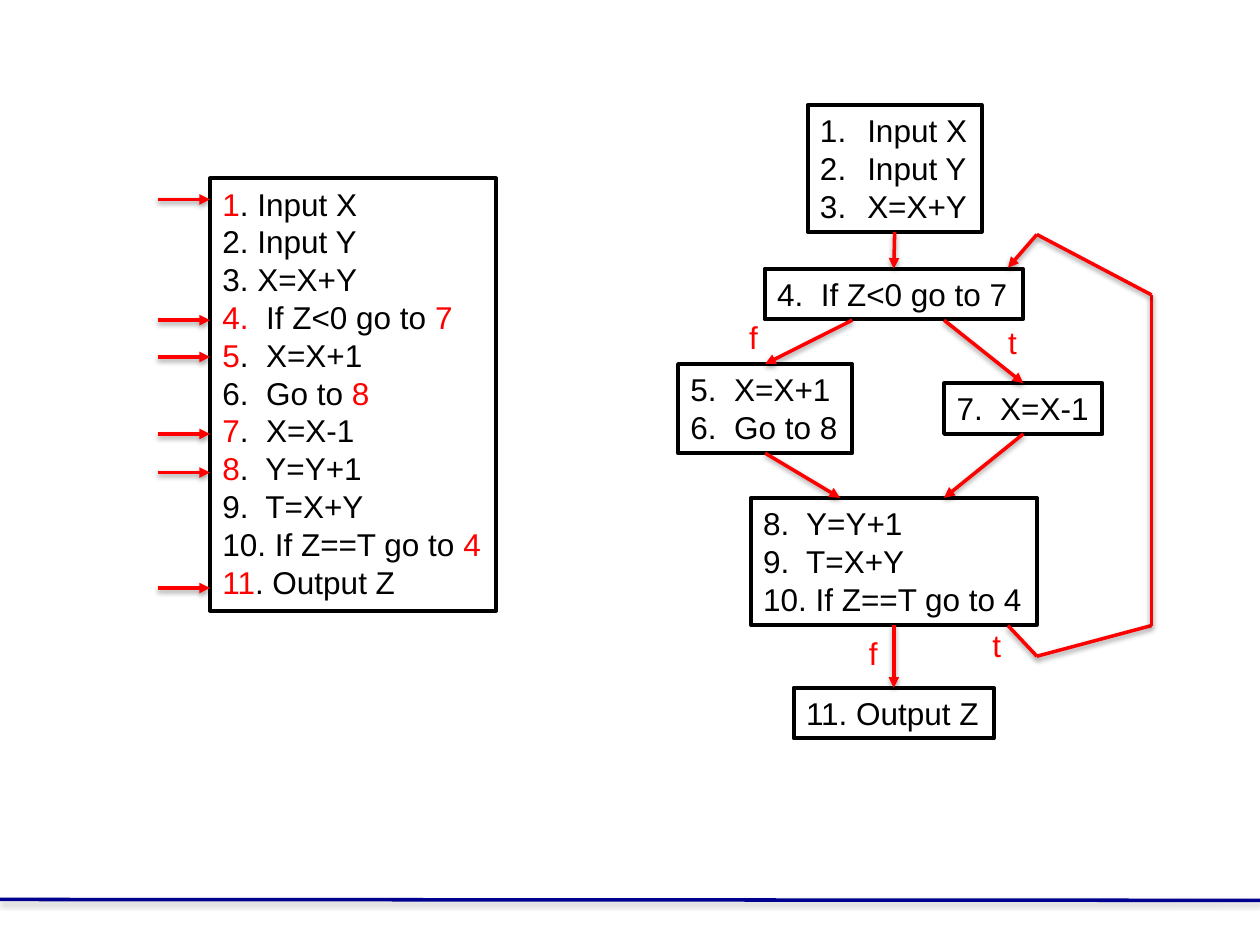
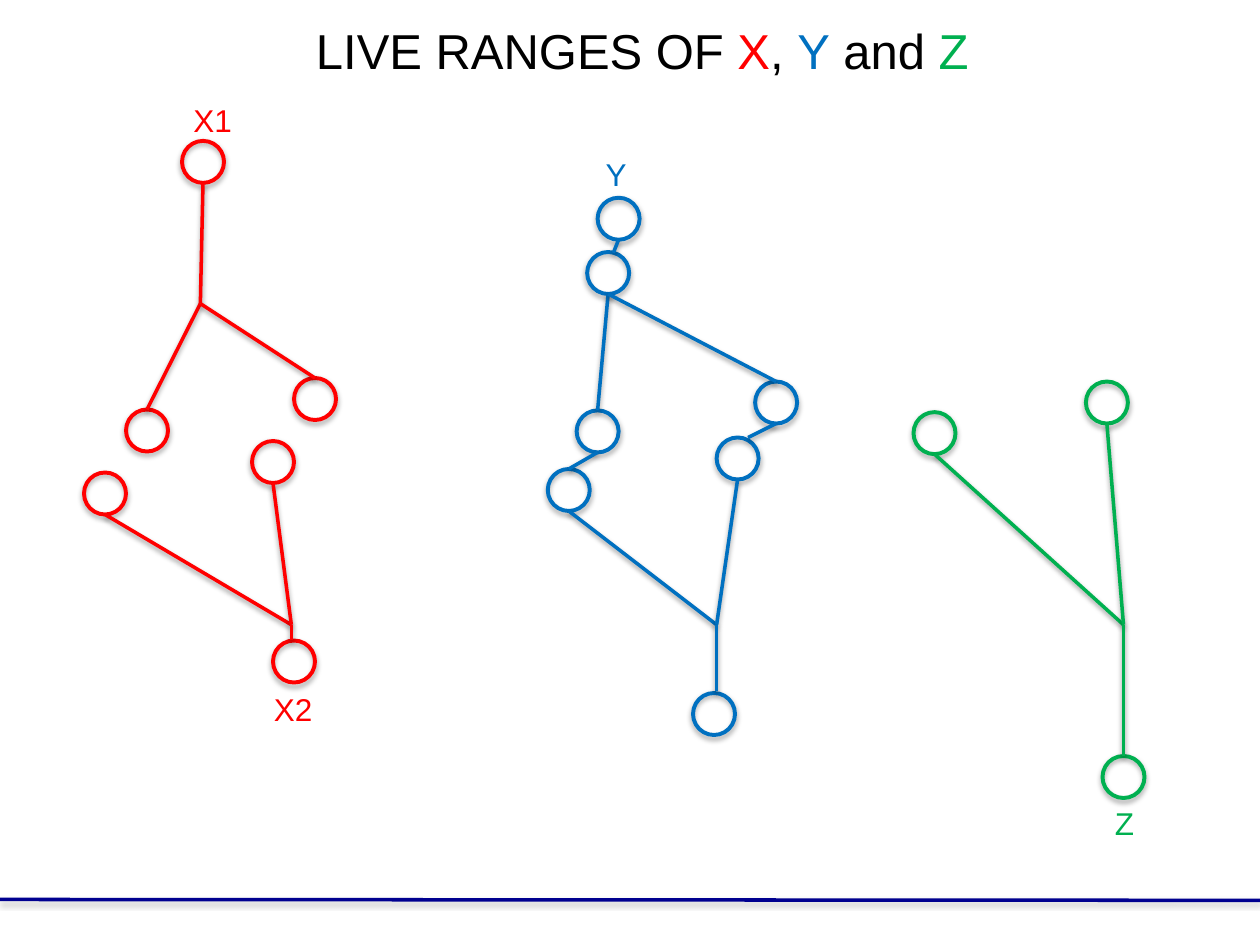
from dataclasses import dataclass

from lxml.etree import SubElement
from pptx import Presentation
from pptx.dml.color import RGBColor
from pptx.enum.shapes import MSO_CONNECTOR, MSO_SHAPE
from pptx.enum.text import MSO_ANCHOR, MSO_AUTO_SIZE, PP_ALIGN
from pptx.oxml.ns import qn
from pptx.util import Pt

TOP, BOTTOM = 0, 2


@dataclass(frozen=True)
class Theme:
    font: str = "Arial"
    black: str = "000000"
    red: str = "FF0000"
    blue: str = "0070C0"
    green: str = "00B050"
    navy: str = "000090"
    grey: str = "808080"
    title_size: int = 28
    body_size: int = 18
    line_width: float = 2
    outline_width: float = 2.25
    circle: int = 24


def write(frame, text, *, theme, size, color, accents=(), numbered=False):
    """Write lines of text; pieces between bars take the accents in turn, the last one repeating."""
    frame.word_wrap = False
    frame.auto_size = MSO_AUTO_SIZE.SHAPE_TO_FIT_TEXT
    frame.vertical_anchor = MSO_ANCHOR.TOP
    used = 0
    for row, line in enumerate(text.split("\n")):
        para = frame.add_paragraph() if row else frame.paragraphs[0]
        para.alignment = PP_ALIGN.LEFT
        if numbered:
            properties = para._p.get_or_add_pPr()
            properties.set("marL", str(Pt(27)))
            properties.set("indent", str(-Pt(27)))
            SubElement(properties, qn("a:buFont"), typeface=theme.font)
            SubElement(properties, qn("a:buAutoNum"), type="arabicPeriod")
        for position, piece in enumerate(line.split("|")):
            if not piece:
                continue
            span = para.add_run()
            span.text = piece
            span.font.name = theme.font
            span.font.size = Pt(size)
            span_color = color
            if position % 2:
                span_color = accents[min(used, len(accents) - 1)]
                used += 1
            span.font.color.rgb = RGBColor.from_string(span_color)


def drop_shadow(shape, color, opacity, distance):
    """Add a soft shadow below; call after the line is set, as the effects follow it."""
    properties = shape._element.spPr
    effects = properties.find(qn("a:effectLst"))
    if effects is None:
        effects = SubElement(properties, qn("a:effectLst"))
    shadow = SubElement(effects, qn("a:outerShdw"), blurRad=str(Pt(3.1)),
                        dist=str(Pt(distance)), dir="5400000", rotWithShape="0")
    tint = SubElement(shadow, qn("a:srgbClr"), val=color)
    SubElement(tint, qn("a:alpha"), val=str(opacity * 1000))


class Slides:
    def __init__(self, theme):
        self.theme = theme
        self.deck = Presentation()
        self.deck.slide_width, self.deck.slide_height = Pt(720), Pt(540)
        self.page = None

    def new_page(self):
        self.page = self.deck.slides.add_slide(self.deck.slide_layouts[6])
        self.line((0, 514), (720, 514.5), self.theme.navy, shadow=self.theme.grey)

    def line(self, start, end, color, arrow=False, shadow=None, source=None, target=None):
        """Draw a line; source and target are boxes to join at bottom and top."""
        connector = self.page.shapes.add_connector(
            MSO_CONNECTOR.STRAIGHT, *map(Pt, (*start, *end)))
        if source is not None:
            connector.begin_connect(source, BOTTOM)
        if target is not None:
            connector.end_connect(target, TOP)
        connector.line.color.rgb = RGBColor.from_string(color)
        connector.line.width = Pt(self.theme.line_width)
        if arrow:
            SubElement(connector.line._get_or_add_ln(), qn("a:tailEnd"), type="triangle")
        drop_shadow(connector, shadow or self.theme.black, 38, 1.6)

    def outline(self, kind, bounds, color):
        shape = self.page.shapes.add_shape(kind, *map(Pt, bounds))
        shape.shadow.inherit = False
        shape.fill.background()
        shape.line.color.rgb = RGBColor.from_string(color)
        shape.line.width = Pt(self.theme.outline_width)
        return shape

    def code_box(self, bounds, text, **formatting):
        box = self.outline(MSO_SHAPE.RECTANGLE, bounds, self.theme.black)
        write(box.text_frame, text, theme=self.theme, size=self.theme.body_size,
              color=self.theme.black, **formatting)
        return box

    def circle(self, center, color):
        size = self.theme.circle
        left, top = (value - size / 2 for value in center)
        circle = self.outline(MSO_SHAPE.OVAL, (left, top, size, size), color)
        drop_shadow(circle, self.theme.black, 35, 1.8)

    def label(self, bounds, text, color, size=None, accents=()):
        box = self.page.shapes.add_textbox(*map(Pt, bounds))
        write(box.text_frame, text, theme=self.theme, size=size or self.theme.body_size,
              color=color, accents=accents)

    def live_range(self, color, circles, joints, edges):
        """Draw circles and the edges that leave them at the bottom and enter at the top."""
        radius = self.theme.circle / 2

        def end_point(name, side):
            if name in joints:
                return joints[name]
            x, y = circles[name]
            return x, y + side * radius

        for center in circles.values():
            self.circle(center, color)
        for start, end in edges:
            self.line(end_point(start, 1), end_point(end, -1), color)


def flow_graph_page(slides):
    red = slides.theme.red
    slides.new_page()
    slides.code_box(
        (120, 102, 163.5, 247),
        "|1|. Input X\n2. Input Y\n3. X=X+Y\n|4.|  If Z<0 go to |7|\n|5|.  X=X+1\n"
        "6.  Go to |8|\n|7|.  X=X-1\n|8|.  Y=Y+1\n9.  T=X+Y\n10. If Z==T go to |4|\n"
        "|11|. Output Z", accents=(red,))
    entry = slides.code_box((461.5, 60, 99.5, 72.5), "Input X\nInput Y\nX=X+Y", numbered=True)
    merge = slides.code_box((429, 284.5, 163.5, 72.5),
                            "8.  Y=Y+1\n9.  T=X+Y\n10. If Z==T go to 4")
    test = slides.code_box((437, 153.5, 147.5, 29), "4.  If Z<0 go to 7")
    if_false = slides.code_box((387.5, 208, 99.5, 51), "5.  X=X+1\n6.  Go to 8")
    output = slides.code_box((453.5, 393, 114.5, 29), "11. Output Z")
    if_true = slides.code_box((539.5, 219, 90.5, 29), "7.  X=X-1")

    for leader_y in (114, 183, 204, 248, 270, 336):
        slides.line((90, leader_y), (120, leader_y), red, arrow=True)

    for start, end, source, target in (
        ((511, 132.5), (511, 153.5), entry, test),
        ((511, 357), (511, 393), merge, output),
        ((487, 183), (437, 208), None, if_false),
        ((539.5, 183), (584.5, 219), None, if_true),
        ((584.5, 248), (539.5, 284.5), if_true, None),
        ((437, 259), (480, 284.5), if_false, None),
    ):
        slides.line(start, end, red, arrow=True, source=source, target=target)

    loop = [(576, 357.5), (592.5, 375), (658, 357.5), (658, 168.5), (592.5, 134), (576, 153)]
    for start, end in zip(loop, loop[1:]):
        slides.line(start, end, red, arrow=end == loop[-1])

    for left, top, text in ((569, 181, "t"), (421, 178, "f"), (489.5, 358.5, "f"), (560, 354, "t")):
        slides.label((left, top, 19.5, 29), text, red)


def live_ranges_page(slides):
    theme = slides.theme
    slides.new_page()
    slides.live_range(
        theme.red,
        {"start": (116, 92.5), "left use": (84, 246), "right use": (180, 228),
         "left def": (60, 282), "right def": (156, 264), "last use": (168, 378)},
        {"fork": (114.5, 173.5), "merge": (166.5, 357), "exit": (166.5, 366)},
        [("start", "fork"), ("fork", "left use"), ("fork", "right use"),
         ("left def", "merge"), ("right def", "merge"), ("merge", "exit")])
    slides.live_range(
        theme.green,
        {"left": (534, 247.5), "right": (632.5, 230), "last use": (642, 444)},
        {"merge": (642, 357)},
        [("left", "merge"), ("right", "merge"), ("merge", "last use")])
    slides.live_range(
        theme.blue,
        {"start": (353.5, 125), "fork": (347.5, 156), "left": (341.5, 246.5),
         "lower left": (325, 280), "right": (443.5, 230), "lower right": (421.5, 262),
         "last use": (408, 408)},
        {"fork entry": (350.5, 144.5), "right entry": (427.5, 250),
         "merge": (409.5, 357), "exit": (409.5, 395)},
        [("start", "fork entry"), ("fork", "left"), ("fork", "right"),
         ("left", "lower left"), ("right", "right entry"),
         ("lower left", "merge"), ("lower right", "merge"), ("merge", "exit")])

    for left, top, width, text, color in (
        (103.5, 54, 36.5, "X1", theme.red),
        (149.5, 391, 36.5, "X2", theme.red),
        (339, 85, 26.5, "Y", theme.blue),
        (630, 456, 26.5, "Z", theme.green),
    ):
        slides.label((left, top, width, 29), text, color)
    slides.label((173.5, 8, 390, 41), "LIVE RANGES OF |X|, |Y| and |Z|", theme.black,
                 size=theme.title_size, accents=(theme.red, theme.blue, theme.green))


def main():
    slides = Slides(Theme())
    flow_graph_page(slides)
    live_ranges_page(slides)
    slides.deck.save("out.pptx")


if __name__ == "__main__":
    main()
